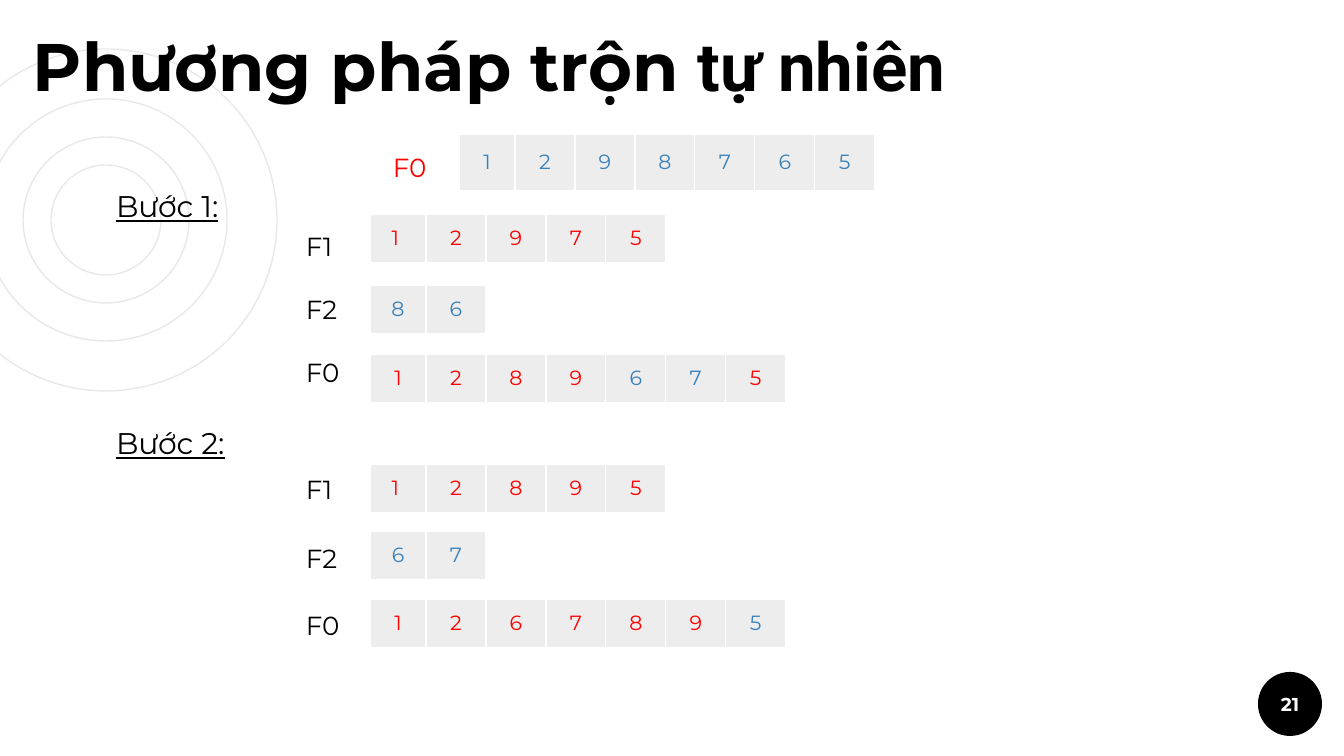
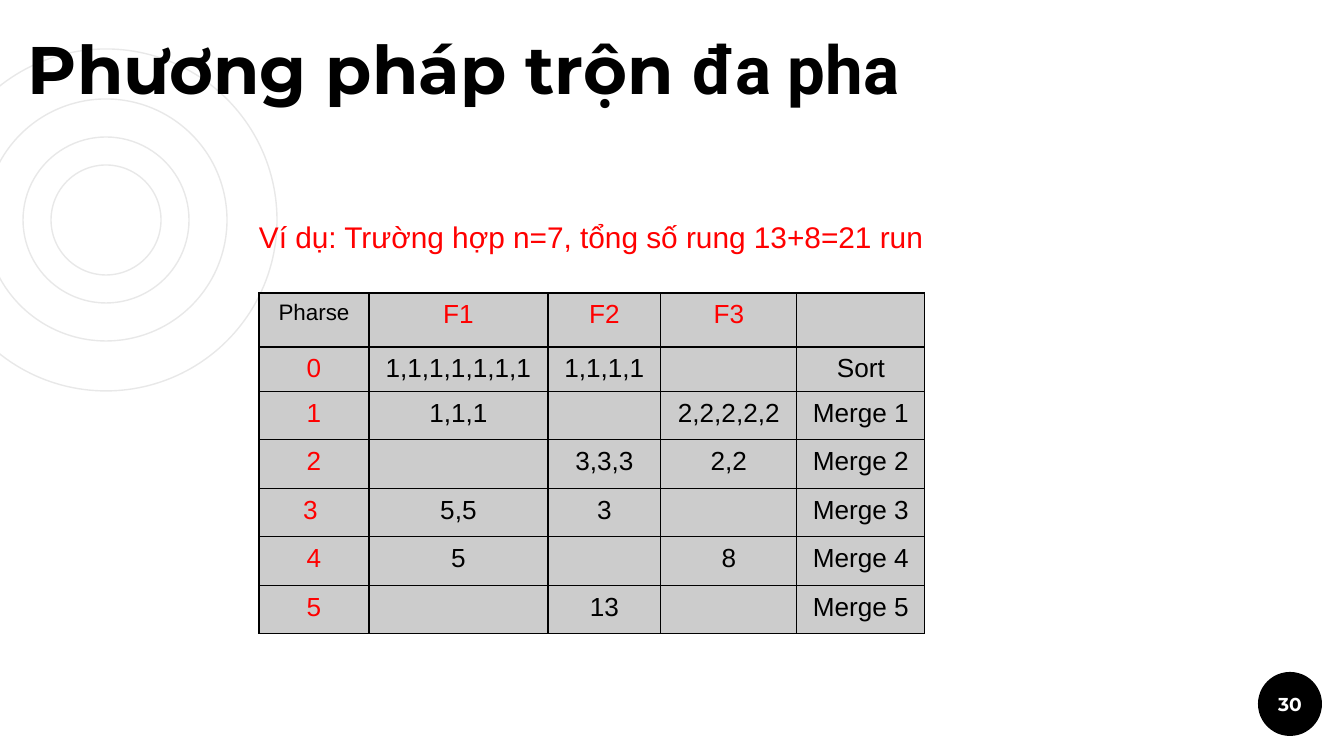
from lxml.etree import SubElement
from pptx import Presentation
from pptx.dml.color import RGBColor
from pptx.enum.shapes import MSO_SHAPE as Shape
from pptx.enum.text import MSO_ANCHOR as Anchor, MSO_AUTO_SIZE as AutoSize, PP_ALIGN as Align
from pptx.oxml.ns import qn
from pptx.util import Emu, Pt

# Shared look
SCALE = 914400 / 134.4
BLACK, WHITE, RED, BLUE = "000000", "FFFFFF", "FF0000", "3A81BA"
RING, GREY = "E8E8E8", "CCCCCC"
MAIN, TITLE_END, PLAIN = "Montserrat", "Roboto", "Arial"
WIDE_INSETS, TEXT_INSETS, NUMBER_INSETS = (13, 13), (13, 7), (13, 9)


def px(length):
    return Emu(round(length * SCALE))


def color(hex_value):
    return RGBColor.from_string(hex_value)


def add_run(paragraph, text, size, font=MAIN, ink=BLACK, bold=False, underline=False):
    run = paragraph.add_run()
    run.text = text
    run.font.size = Pt(size)
    run.font.name = font
    run.font.color.rgb = color(ink)
    run.font.bold = bold
    run.font.underline = underline


def set_insets(holder, insets):
    holder.margin_left = holder.margin_right = px(insets[0])
    holder.margin_top = holder.margin_bottom = px(insets[1])


def add_text(slide, left, top, width, height, anchor=Anchor.TOP,
             insets=TEXT_INSETS, align=Align.LEFT, grow=False):
    """Add an empty text box and return its paragraph."""
    box = slide.shapes.add_textbox(px(left), px(top), px(width), px(height))
    frame = box.text_frame
    frame.word_wrap = True
    frame.auto_size = AutoSize.SHAPE_TO_FIT_TEXT if grow else AutoSize.NONE
    frame.vertical_anchor = anchor
    set_insets(frame, insets)
    paragraph = frame.paragraphs[0]
    paragraph.alignment = align
    return paragraph


def add_circle(slide, center_x, center_y, radius, fill=None, line=None):
    circle = slide.shapes.add_shape(Shape.OVAL, px(center_x - radius), px(center_y - radius),
                                    px(2 * radius), px(2 * radius))
    circle.shadow.inherit = False
    if fill:
        circle.fill.solid()
        circle.fill.fore_color.rgb = color(fill)
    else:
        circle.fill.background()
    if line:
        circle.line.color.rgb = color(line)
        circle.line.width = Pt(0.75)
    else:
        circle.line.fill.background()


def style_cell(cell, border, fill, alpha=None):
    properties = cell._tc.get_or_add_tcPr()
    for side in ("a:lnL", "a:lnR", "a:lnT", "a:lnB"):
        line = SubElement(properties, qn(side), w=str(Pt(0.75)))
        SubElement(SubElement(line, qn("a:solidFill")), qn("a:srgbClr"), val=border)
    cell.fill.solid()
    cell.fill.fore_color.rgb = color(fill)
    if alpha:
        tint = properties.find(qn("a:solidFill")).find(qn("a:srgbClr"))
        SubElement(tint, qn("a:alpha"), val=str(alpha * 1000))


def add_table(slide, left, top, widths, heights):
    table = slide.shapes.add_table(len(heights), len(widths), px(left), px(top),
                                   px(sum(widths)), px(sum(heights))).table
    table.first_row = table.horz_banding = False
    for column, width in zip(table.columns, widths):
        column.width = px(width)
    for row, height in zip(table.rows, heights):
        row.height = px(height)
    return table


def add_numbers(slide, left, top, height, groups):
    """Add one row of numbers; each group is (comma-separated values, colour)."""
    values = [(value, ink) for text, ink in groups for value in text.split(",")]
    widths = [56] + [60] * (len(values) - 1)
    table = add_table(slide, left, top, widths, [height])
    for cell, (value, ink) in zip(table.iter_cells(), values):
        style_cell(cell, WHITE, BLACK, alpha=7)
        set_insets(cell, NUMBER_INSETS)
        cell.vertical_anchor = Anchor.MIDDLE
        paragraph = cell.text_frame.paragraphs[0]
        paragraph.alignment = Align.CENTER
        add_run(paragraph, value, 11, ink=ink)


def add_label(slide, left, top, runs, ink=BLACK):
    paragraph = add_text(slide, left, top, 129, 46, grow=True)
    for text, size in runs:
        add_run(paragraph, text, size, ink=ink)


def add_step(slide, top, text):
    paragraph = add_text(slide, 103, top, 137, 50, grow=True)
    add_run(paragraph, text, 16, underline=True)


def add_base(presentation, number):
    """Add a blank slide with the rings and the page number."""
    slide = presentation.slides.add_slide(presentation.slide_layouts[6])
    for radius in (171, 83, 121, 55):
        add_circle(slide, 106, 220, radius, line=RING)
    add_circle(slide, 1290, 704, 32, fill=BLACK)
    paragraph = add_text(slide, 1258, 672, 64, 64, Anchor.MIDDLE, WIDE_INSETS, Align.CENTER)
    add_run(paragraph, number, 10, ink=WHITE, bold=True)
    return slide


def add_title(slide, left, top, width, ending):
    paragraph = add_text(slide, left, top, width, 101, Anchor.BOTTOM, WIDE_INSETS)
    add_run(paragraph, "Phương pháp trộn ", 36, bold=True)
    add_run(paragraph, ending, 36, font=TITLE_END, bold=True)


def build_natural_merge(presentation):
    slide = add_base(presentation, "21")
    # Start file
    add_numbers(slide, 459, 134, 57, [("1,2,9,8,7,6,5", BLUE)])
    add_label(slide, 380, 144, [("F0 ", 14)], RED)
    # Steps
    add_step(slide, 181, "Bước 1:")
    add_step(slide, 418, "Bước 2:")
    f1, f2, f0 = [("F1", 14), (" ", 16)], [("F2 ", 14)], [("F0", 14)]
    rows = [
        (f1, 220, 214, [("1 ,2,9,7,5", RED)]),
        (f2, 286, 285, [("8,6", BLUE)]),
        (f0, 349, 354, [("1,2,8,9", RED), ("6,7", BLUE), ("5", RED)]),
        (f1, 463, 464, [("1 ,2,8,9,5", RED)]),
        (f2, 535, 531, [("6,7", BLUE)]),
        (f0, 602, 599, [("1,2,6,7,8,9", RED), ("5", BLUE)]),
    ]
    for label, label_top, row_top, groups in rows:
        add_label(slide, 293, label_top, label)
        add_numbers(slide, 370, row_top, 49, groups)
    add_title(slide, 20, 17, 1072, "tự nhiên")


def build_polyphase_merge(presentation):
    slide = add_base(presentation, "30")
    # Phase table
    rows = [
        ("Pharse", "F1", "F2", "F3", ""),
        ("0", "1,1,1,1,1,1,1", "1,1,1,1", "", "Sort"),
        ("1", "1,1,1", "", "2,2,2,2,2", "Merge 1"),
        ("2", "", "3,3,3", "2,2", "Merge 2"),
        ("3 ", "5,5", "3", "", "Merge 3"),
        ("4", "5", "", "8", "Merge 4"),
        ("5", "", "13", "", "Merge 5"),
    ]
    table = add_table(slide, 259, 293, [110, 179, 113, 136, 128],
                      [54, 44, 48, 49, 48, 49, 48])
    for row_index, row in enumerate(rows):
        for column_index, text in enumerate(row):
            cell = table.cell(row_index, column_index)
            style_cell(cell, BLACK, GREY)
            paragraph = cell.text_frame.paragraphs[0]
            paragraph.alignment = Align.CENTER
            is_corner = row_index == column_index == 0
            is_heading = (row_index == 0 or column_index == 0) and not is_corner
            if text:
                add_run(paragraph, text, 12 if is_corner else 14, PLAIN,
                        RED if is_heading else BLACK)
            else:
                # Keeps an empty cell from stretching its row
                SubElement(paragraph._p, qn("a:endParaRPr"), sz="1400")
    # Example and title
    paragraph = add_text(slide, 246, 212, 728, 50, grow=True)
    add_run(paragraph, "Ví dụ: Trường hợp n=7, tổng số rung 13+8=21 run", 16, PLAIN, RED)
    add_title(slide, 15, 20, 958, "đa pha")


def main():
    presentation = Presentation()
    presentation.slide_width, presentation.slide_height = px(1344), px(756)
    build_natural_merge(presentation)
    build_polyphase_merge(presentation)
    presentation.save("out.pptx")


main()
